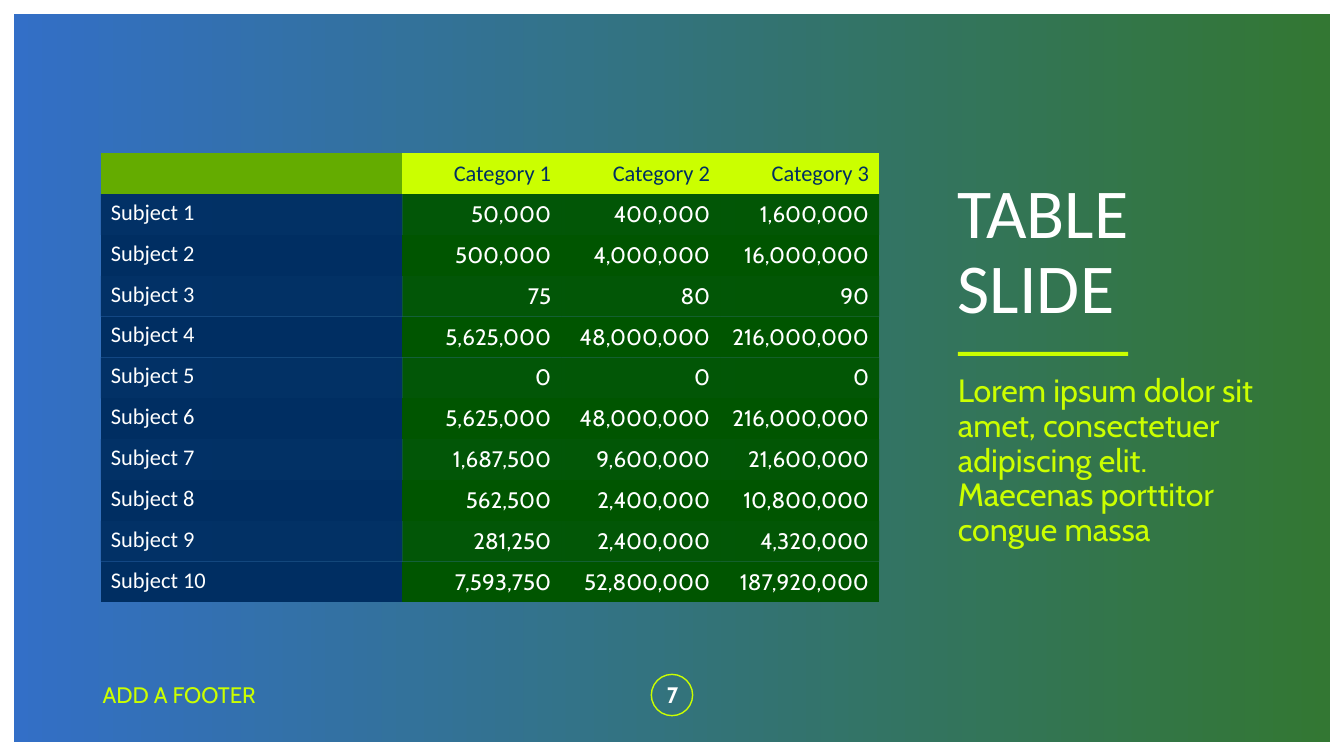
"""Build the table slide: gradient panel, subject table, title, body and footer."""
from pptx import Presentation
from pptx.dml.color import RGBColor
from pptx.enum.shapes import MSO_SHAPE
from pptx.enum.text import MSO_ANCHOR, PP_ALIGN
from pptx.oxml.ns import qn
from pptx.util import Pt
from lxml.etree import SubElement

PX = 9144
BLUE = RGBColor(0x00, 0x4C, 0xB9)
NAVY = RGBColor(0x00, 0x2E, 0x62)
GREEN = RGBColor(0x00, 0x55, 0x00)
LEAF = RGBColor(0x64, 0xAC, 0x00)
LIME = RGBColor(0xCB, 0xFF, 0x00)
WHITE = RGBColor(0xFF, 0xFF, 0xFF)
NO_STYLE = "{2D5ABB26-0587-4C30-8999-92F81FD0307C}"

TITLE = ["TABLE", "SLIDE"]
BODY = ["Lorem ipsum dolor sit amet, consectetuer adipiscing elit. Maecenas porttitor congue massa"]
FOOTER = ["ADD A FOOTER"]
NUMBER = ["7"]
HEADER = ["", "Category 1", "Category 2", "Category 3"]
ROWS = [
    ["Subject 1", "50,000", "400,000", "1,600,000"],
    ["Subject 2", "500,000", "4,000,000", "16,000,000"],
    ["Subject 3", "75", "80", "90"],
    ["Subject 4", "5,625,000", "48,000,000", "216,000,000"],
    ["Subject 5", "0", "0", "0"],
    ["Subject 6", "5,625,000", "48,000,000", "216,000,000"],
    ["Subject 7", "1,687,500", "9,600,000", "21,600,000"],
    ["Subject 8", "562,500", "2,400,000", "10,800,000"],
    ["Subject 9", "281,250", "2,400,000", "4,320,000"],
    ["Subject 10", "7,593,750", "52,800,000", "187,920,000"],
]
TABLE_BOX = (100, 152, 772, 446)
SUBJECT_W = 299


def emu(box):
    return [v * PX for v in box]


def set_alpha(element, percent):
    for clr in element.iter(qn("a:srgbClr")):
        SubElement(clr, qn("a:alpha"), val=str(percent * 1000))


def add_run(p, text, font, size, color, bold=False):
    r = p.add_run()
    r.text = text
    r.font.name = font
    r.font.size = Pt(size)
    r.font.color.rgb = color
    r.font.bold = bold


def add_shape(slide, kind, box):
    sp = slide.shapes.add_shape(kind, *emu(box))
    sp.shadow.inherit = False
    sp.line.fill.background()
    return sp


def add_text(slide, box, lines, font, size, color, anchor=MSO_ANCHOR.MIDDLE,
             align=PP_ALIGN.LEFT, inset=10, spacing=1.0, bold=False):
    tf = slide.shapes.add_textbox(*emu(box)).text_frame
    tf.word_wrap = True
    tf.vertical_anchor = anchor
    tf.margin_left = tf.margin_right = inset * PX
    p = tf.paragraphs[0]
    p.alignment = align
    p.line_spacing = spacing
    for i, line in enumerate(lines):
        if i:
            p.add_line_break()
        add_run(p, line, font, size, color, bold)


def add_panel(slide):
    sp = add_shape(slide, MSO_SHAPE.RECTANGLE, (14, 14, 1305, 722))
    sp.fill.gradient()
    sp.fill.gradient_angle = 0
    for stop, color in zip(sp.fill.gradient_stops, (BLUE, GREEN)):
        stop.color.rgb = color
    set_alpha(sp._element.spPr, 80)


def cell_look(row, col):
    if row == 0:
        return (LIME if col else LEAF), NAVY, "Calibri"
    return (GREEN, WHITE, "Cabin") if col else (NAVY, WHITE, "Calibri")


def add_data_table(slide):
    data = [HEADER] + ROWS
    frame = slide.shapes.add_table(len(data), len(HEADER), *emu(TABLE_BOX))
    table = frame.table
    table._tbl.tblPr.find(qn("a:tableStyleId")).text = NO_STYLE
    for col, column in enumerate(table.columns):
        column.width = (TABLE_BOX[2] - SUBJECT_W) * PX // 3 if col else SUBJECT_W * PX
    for row, values in enumerate(data):
        for col, value in enumerate(values):
            cell = table.cell(row, col)
            fill, color, font = cell_look(row, col)
            cell.fill.solid()
            cell.fill.fore_color.rgb = fill
            if row % 2:
                set_alpha(cell._tc.tcPr, 95)
            p = cell.text_frame.paragraphs[0]
            if col:
                cell.vertical_anchor = MSO_ANCHOR.MIDDLE
                p.alignment = PP_ALIGN.RIGHT
            if value:
                add_run(p, value, font, 16, color)


def main():
    prs = Presentation()
    prs.slide_width, prs.slide_height = emu((1333, 750))
    slide = prs.slides.add_slide(prs.slide_layouts[6])

    add_panel(slide)
    ring = add_shape(slide, MSO_SHAPE.OVAL, (646, 669, 41, 41))
    ring.fill.background()
    ring.line.color.rgb = LIME
    ring.line.width = Pt(1)
    rule = add_shape(slide, MSO_SHAPE.RECTANGLE, (950, 349, 169, 4))
    rule.fill.solid()
    rule.fill.fore_color.rgb = LIME

    add_data_table(slide)
    add_text(slide, (950, 165, 292, 173), TITLE, "Calibri", 50, WHITE, inset=0, spacing=0.9)
    add_text(slide, (950, 367, 312, 246), BODY, "Cabin", 23, LIME,
             anchor=MSO_ANCHOR.TOP, inset=0, spacing=0.9)
    add_text(slide, (92, 669, 372, 40), FOOTER, "Cabin", 16, LIME)
    add_text(slide, (637, 669, 60, 40), NUMBER, "Cabin", 16, WHITE,
             align=PP_ALIGN.CENTER, bold=True)
    prs.save("out.pptx")


if __name__ == "__main__":
    main()
